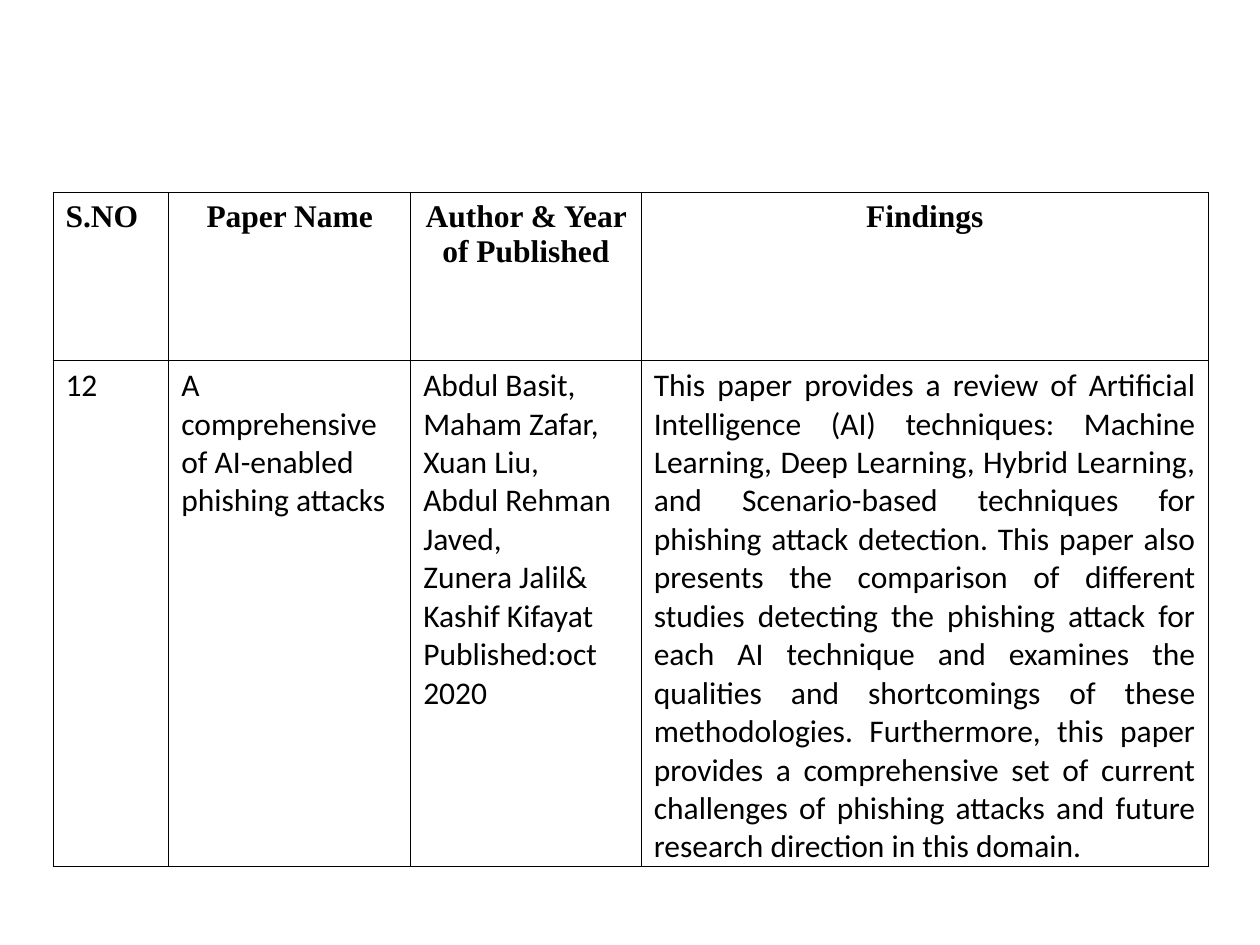
import pptx
import pptx.util
import pptx.dml.color
import pptx.enum.text
import pptx.oxml
import pptx.oxml.ns
import lxml.etree

Inches = pptx.util.Inches
ALIGN = pptx.enum.text.PP_ALIGN
INK = "000000"


def color(hex_string):
    return pptx.dml.color.RGBColor.from_string(hex_string)


def add_borders(cell, hex_string, points):
    properties = cell._tc.get_or_add_tcPr()
    qn = pptx.oxml.ns.qn
    for position, side in enumerate(("a:lnL", "a:lnR", "a:lnT", "a:lnB")):
        line = lxml.etree.Element(qn(side), w=str(pptx.util.Pt(points)))
        fill = lxml.etree.SubElement(line, qn("a:solidFill"))
        lxml.etree.SubElement(fill, qn("a:srgbClr"), val=hex_string)
        properties.insert(position, line)


deck = pptx.Presentation()
deck.slide_width, deck.slide_height = Inches(10), Inches(7.5)
page = deck.slides.add_slide(deck.slide_layouts[6])

# Wording: one list of rows, each cell a list of paragraphs
headings = [["S.NO"], ["Paper Name"], ["Author & Year of Published"], ["Findings"]]
survey = [
    ["12"],
    ["A comprehensive of AI-enabled phishing attacks"],
    ["Abdul Basit,", "Maham Zafar,", "Xuan Liu,", "Abdul Rehman Javed,",
     "Zunera Jalil&", "Kashif Kifayat", "Published:oct 2020"],
    ["This paper provides a review of Artificial Intelligence (AI) techniques: "
     "Machine Learning, Deep Learning, Hybrid Learning, and Scenario-based "
     "techniques for phishing attack detection. This paper also presents the "
     "comparison of different studies detecting the phishing attack for each AI "
     "technique and examines the qualities and shortcomings of these "
     "methodologies. Furthermore, this paper provides a comprehensive set of "
     "current challenges of phishing attacks and future research direction in "
     "this domain."],
]
alignments = [
    [ALIGN.LEFT, ALIGN.CENTER, ALIGN.CENTER, ALIGN.CENTER],
    [ALIGN.LEFT, ALIGN.LEFT, ALIGN.LEFT, ALIGN.JUSTIFY],
]
fonts = ["Times New Roman", "Calibri"]
column_widths = [0.92, 1.92, 1.83, 4.5]
row_heights = [1.33, 4]

# Table grid
table = page.shapes.add_table(
    len(row_heights), len(column_widths), Inches(0.42), Inches(1.53),
    Inches(sum(column_widths)), Inches(sum(row_heights))).table
table.horz_banding = False
for column, width in zip(table.columns, column_widths):
    column.width = Inches(width)
for row, height in zip(table.rows, row_heights):
    row.height = Inches(height)

# Cells
for row_index, contents in enumerate([headings, survey]):
    for column_index, lines in enumerate(contents):
        cell = table.cell(row_index, column_index)
        cell.fill.background()
        cell.margin_bottom = 0
        add_borders(cell, INK, 0.5)
        cell.text_frame.text = "\n".join(lines)
        for paragraph in cell.text_frame.paragraphs:
            paragraph.alignment = alignments[row_index][column_index]
            for span in paragraph.runs:
                span.font.name = fonts[row_index]
                span.font.size = pptx.util.Pt(18)
                span.font.bold = row_index == 0
                span.font.color.rgb = color(INK)

deck.save("out.pptx")
